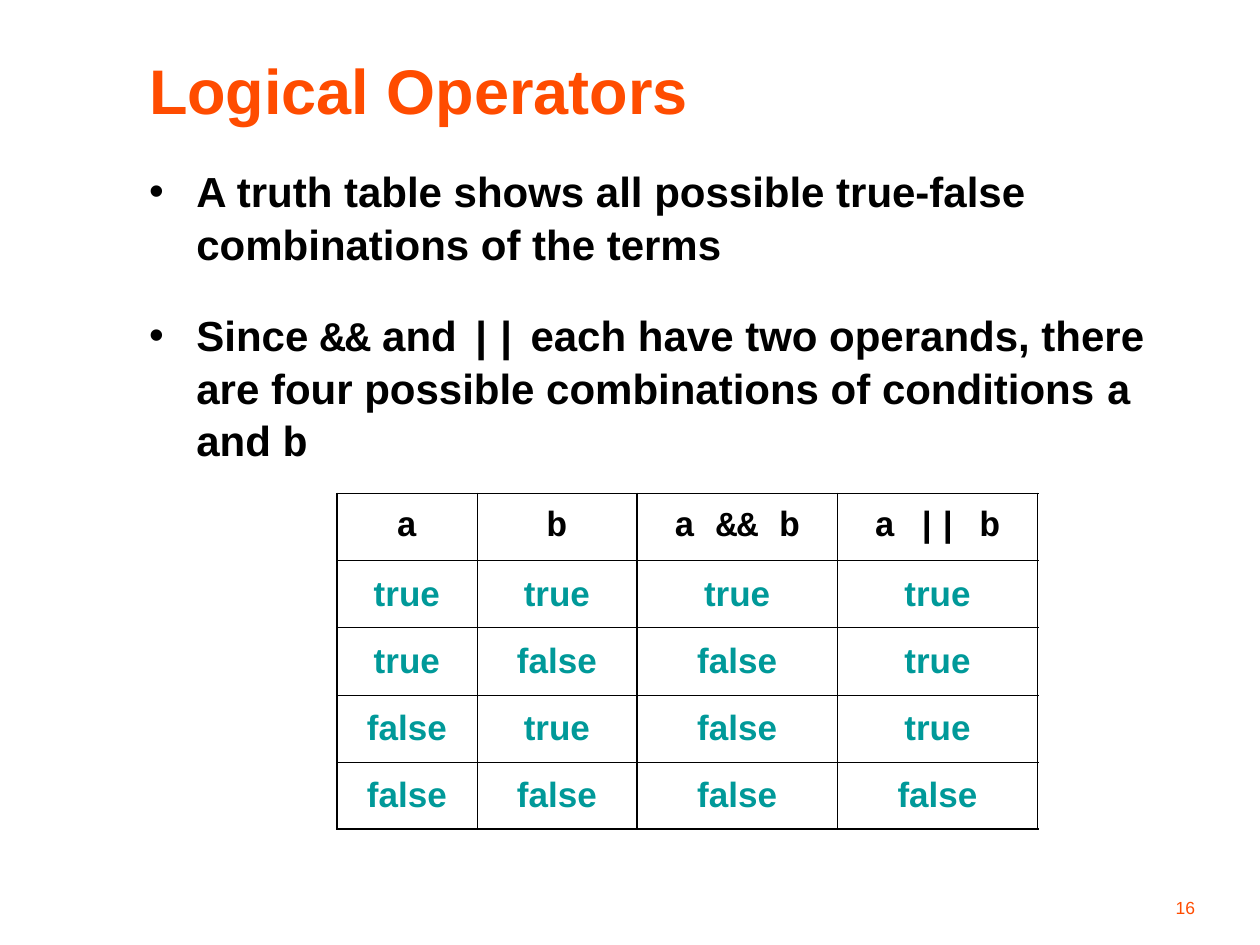
from lxml import etree
from pptx import Presentation
from pptx import util as u
from pptx.dml import color
from pptx.enum import text
from pptx.oxml import ns

Pt = u.Pt
ORANGE = color.RGBColor(0xFF, 0x4C, 0x00)
TEAL = color.RGBColor(0x00, 0x99, 0x99)
BLACK = color.RGBColor(0x00, 0x00, 0x00)
SANS, MONO = "Arial", "Courier New"
THICK, THIN = 1.08, 0.45

BULLETS = [
    [("A truth table shows all possible true-false combinations of the terms", SANS)],
    [("Since ", SANS), ("&&", MONO), (" and ", SANS), ("||", MONO),
     (" each have two operands, there are four possible combinations of conditions ", SANS),
     ("a", MONO), (" and ", SANS), ("b", MONO)],
]
HEADER = ["a", "b", "a && b", "a || b"]
TERMS = [(True, True), (True, False), (False, True), (False, False)]


class SlideBuilder:
    def __init__(self, prs):
        self.s = prs.slides.add_slide(prs.slide_layouts[1])

    def style(self, r, size, rgb, name=SANS, bold=True):
        r.font.size = Pt(size)
        r.font.name = name
        r.font.bold = bold
        r.font.color.rgb = rgb

    def place(self, sp, left, top, width, height, anchor):
        sp.left, sp.top, sp.width, sp.height = map(Pt, (left, top, width, height))
        tf = sp.text_frame
        tf.word_wrap = True
        tf.auto_size = text.MSO_AUTO_SIZE.NONE
        tf.vertical_anchor = anchor
        return tf

    def title(self, words, *box):
        tf = self.place(self.s.shapes.title, *box, text.MSO_ANCHOR.MIDDLE)
        tf.text = words
        p = tf.paragraphs[0]
        p.alignment = text.PP_ALIGN.LEFT
        self.style(p.runs[0], 36, ORANGE)

    def bullets(self, items, *box):
        tf = self.place(self.s.placeholders[1], *box, text.MSO_ANCHOR.TOP)
        for i, parts in enumerate(items):
            p = tf.paragraphs[0] if i == 0 else tf.add_paragraph()
            p.space_before = Pt(22.5)
            p.line_spacing = 1.04
            pPr = p._p.get_or_add_pPr()
            pPr.set("marL", str(Pt(27)))
            pPr.set("indent", str(-Pt(27)))
            for words, name in parts:
                r = p.add_run()
                r.text = words
                self.style(r, 24, BLACK, name)

    def border(self, cell, side, width):
        tcPr = cell._tc.get_or_add_tcPr()
        ln = etree.SubElement(tcPr, ns.qn(f"a:ln{side}"), w=str(Pt(width)))
        fill = etree.SubElement(ln, ns.qn("a:solidFill"))
        etree.SubElement(fill, ns.qn("a:srgbClr"), val=str(BLACK))

    def table(self, rows, widths, row_height, left, top):
        last = len(rows) - 1
        table = self.s.shapes.add_table(
            len(rows), len(widths), Pt(left), Pt(top),
            Pt(sum(widths)), Pt(row_height * len(rows))).table
        table.first_row = table.horz_banding = False
        for column, width in zip(table.columns, widths):
            column.width = Pt(width)
        for i, row in enumerate(rows):
            for j, words in enumerate(row):
                cell = table.cell(i, j)
                cell.text = words
                cell.vertical_anchor = text.MSO_ANCHOR.MIDDLE
                p = cell.text_frame.paragraphs[0]
                p.alignment = text.PP_ALIGN.CENTER
                p.space_before = Pt(5)
                self.style(p.runs[0], 20, TEAL if i else BLACK, SANS if i else MONO)
                thick = {"L": j % 2 == 0, "R": j % 2 == 1,
                         "T": i < 2, "B": i in (0, last)}
                for side, is_thick in thick.items():
                    self.border(cell, side, THICK if is_thick else THIN)
                cell.fill.background()

    def page_number(self, number, *box):
        sp = self.s.shapes.add_textbox(0, 0, 0, 0)
        tf = self.place(sp, *box, text.MSO_ANCHOR.BOTTOM)
        tf.text = number
        p = tf.paragraphs[0]
        p.alignment = text.PP_ALIGN.RIGHT
        self.style(p.runs[0], 10, ORANGE, bold=False)


def main():
    prs = Presentation()
    prs.slide_width, prs.slide_height = Pt(720), Pt(540)
    slide = SlideBuilder(prs)
    slide.title("Logical Operators", 78, 24, 624, 54)
    slide.bullets(BULLETS, 78, 90, 624, 180)
    truth = [[str(v).lower() for v in (a, b, a and b, a or b)] for a, b in TERMS]
    slide.table([HEADER] + truth, [80, 91.5, 114.5, 114.5], 38.4, 192.5, 282)
    slide.page_number("16", 540, 498, 150, 30)
    prs.save("out.pptx")


if __name__ == "__main__":
    main()
